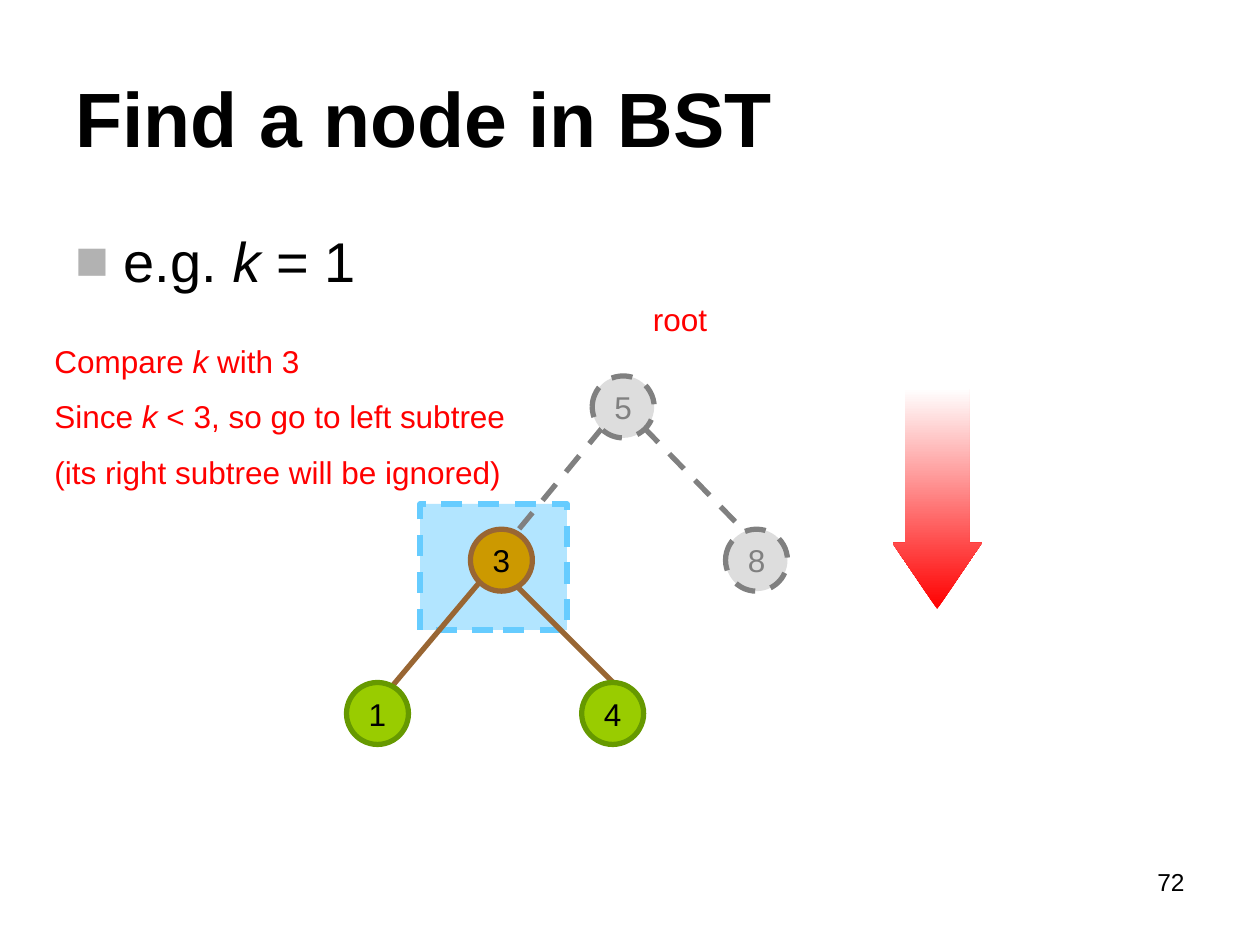
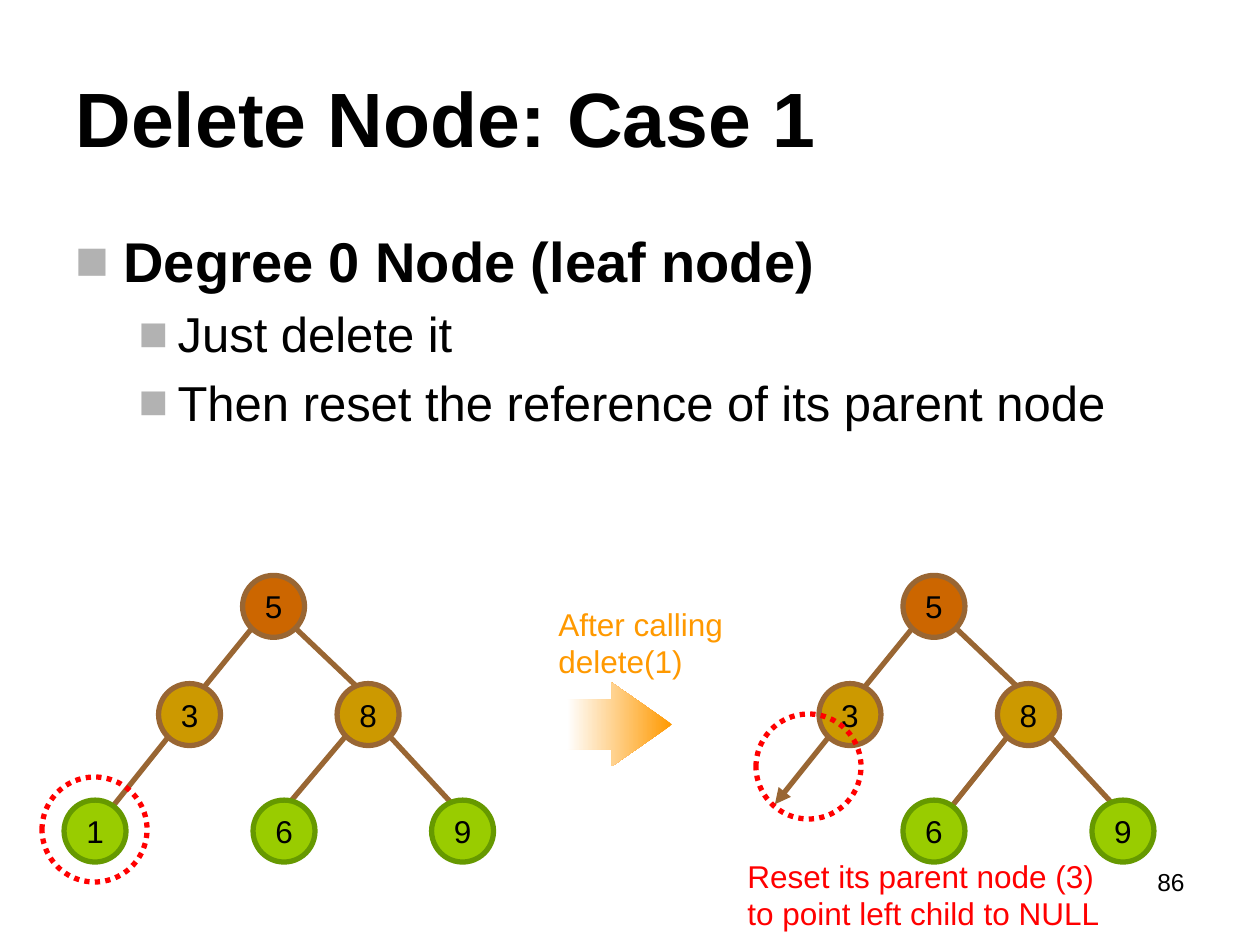
from lxml import etree
from pptx import Presentation
from pptx.dml.color import RGBColor
from pptx.enum.dml import MSO_LINE
from pptx.enum.shapes import MSO_CONNECTOR, MSO_SHAPE
from pptx.enum.text import MSO_ANCHOR, MSO_AUTO_SIZE, PP_ALIGN
from pptx.oxml.ns import qn
from pptx.util import Inches, Pt

# Grid: 120 columns by 90 rows of square cells
SLIDE_W, SLIDE_H = Inches(10), Inches(7.5)
CELL = SLIDE_W / 120

FONT = "Arial"
BLACK = RGBColor(0x00, 0x00, 0x00)
WHITE = RGBColor(0xFF, 0xFF, 0xFF)
RED = RGBColor(0xFF, 0x00, 0x00)
ORANGE = RGBColor(0xFF, 0x99, 0x00)
BROWN = RGBColor(0x99, 0x66, 0x33)
RUST = RGBColor(0xCC, 0x66, 0x00)
OCHRE = RGBColor(0xCC, 0x99, 0x00)
GREEN = RGBColor(0x99, 0xCC, 0x00)
DARK_GREEN = RGBColor(0x66, 0x99, 0x00)
GREY = RGBColor(0x80, 0x80, 0x80)
PALE_GREY = RGBColor(0xDD, 0xDD, 0xDD)
BULLET_GREY = "B2B2B2"
SKY = RGBColor(0x66, 0xCC, 0xFF)

RECT, OVAL, UP_ARROW = MSO_SHAPE.RECTANGLE, MSO_SHAPE.OVAL, MSO_SHAPE.UP_ARROW
STRAIGHT = MSO_CONNECTOR.STRAIGHT
DASH, DOTS = MSO_LINE.DASH, MSO_LINE.ROUND_DOT
LEFT, CENTER, RIGHT = PP_ALIGN.LEFT, PP_ALIGN.CENTER, PP_ALIGN.RIGHT
MIDDLE = MSO_ANCHOR.MIDDLE
NO_FIT, GROW = MSO_AUTO_SIZE.NONE, MSO_AUTO_SIZE.SHAPE_TO_FIT_TEXT

TITLE_BOX = (6, 3.6, 108, 15)
BODY_BOX = (6, 21, 108, 59.4)
NUMBER_BOX = (86, 82, 28, 6.25)

# Outline level: margin, hanging indent (inches), text size
LEVELS = [(0.38, 0.38, 32), (0.81, 0.31, 28)]

# Node styles: fill, outline, text, dash
NODE_SIZE = 5.9
ROOT = (RUST, BROWN, BLACK, None)
INNER = (OCHRE, BROWN, BLACK, None)
LEAF = (GREEN, DARK_GREEN, BLACK, None)
IGNORED = (PALE_GREY, GREY, GREY, DASH)

# Edge anchors: start within the parent's box, end within the child's box
TO_LEFT = ((1, 4.9), (3.8, 1))
TO_LEFT_LEAF = ((1, 5), (4.8, 0.4))
TO_NEAR_LEAF = ((1, 4.8), (3.6, 0.1))
TO_RIGHT = ((4.9, 4.9), (2, 0.4))
TO_STEEP_RIGHT = ((3.8, 4.8), (3, 0))


def cells(*lengths):
    return [round(length * CELL) for length in lengths]


def write(paragraph, text, size, color=BLACK, bold=False):
    """Write text; the parts between asterisks are italic."""
    for index, part in enumerate(text.split("*")):
        run = paragraph.add_run()
        run.text = part
        font = run.font
        font.name, font.size, font.bold = FONT, Pt(size), bold
        font.italic = index % 2 == 1
        font.color.rgb = color


def add_note(slide, box, lines, color, size=18, align=LEFT, fit=GROW):
    frame = slide.shapes.add_textbox(*cells(*box)).text_frame
    frame.word_wrap = True
    frame.auto_size = fit
    for index, line in enumerate(lines):
        paragraph = frame.add_paragraph() if index else frame.paragraphs[0]
        paragraph.alignment = align
        if index:
            paragraph.space_before = Pt(10)
        write(paragraph, line, size, color)


def style_line(line, color, dash=None):
    line.color.rgb = color
    line.width = Pt(3)
    if dash:
        line.dash_style = dash


def add_outlined(slide, kind, box, fill, outline, dash=None):
    shape = slide.shapes.add_shape(kind, *cells(*box))
    shape.shadow.inherit = False
    if fill is None:
        shape.fill.background()
    else:
        shape.fill.solid()
        shape.fill.fore_color.rgb = fill
    style_line(shape.line, outline, dash)
    return shape


def add_fading_arrow(slide, box, rotation, color, proportions):
    arrow = slide.shapes.add_shape(UP_ARROW, *cells(*box))
    arrow.shadow.inherit = False
    arrow.rotation = rotation
    arrow.adjustments[0], arrow.adjustments[1] = proportions
    arrow.line.fill.background()
    arrow.fill.gradient()
    arrow.fill.gradient_angle = 270
    for stop, tone, position in zip(arrow.fill.gradient_stops, (color, WHITE), (0, 1)):
        stop.color.rgb = tone
        stop.position = position


def add_edge(slide, parent, child, anchors, color, dash, points_to_null):
    ends = [at + shift for node, anchor in zip((parent, child), anchors)
            for at, shift in zip(node, anchor)]
    edge = slide.shapes.add_connector(STRAIGHT, *cells(*ends))
    style_line(edge.line, color, dash)
    if points_to_null:
        etree.SubElement(edge.line._get_or_add_ln(), qn("a:tailEnd"), type="triangle")
    etree.SubElement(edge._element.spPr, qn("a:effectLst"))


def add_tree(slide, origin, nodes, edges):
    """nodes: key -> (column, row, style); a node without style is a null slot."""
    places = {key: (origin[0] + col, origin[1] + row)
              for key, (col, row, _) in nodes.items()}
    for parent, child, anchors in edges:
        style = nodes[parent][2]
        add_edge(slide, places[parent], places[child], anchors,
                 style[1], style[3], nodes[child][2] is None)
    for key, (_, _, style) in nodes.items():
        if style is None:
            continue
        fill, outline, ink, dash = style
        node = add_outlined(slide, OVAL, (*places[key], NODE_SIZE, NODE_SIZE),
                            fill, outline, dash)
        frame = node.text_frame
        frame.word_wrap = False
        frame.vertical_anchor = MIDDLE
        frame.paragraphs[0].alignment = CENTER
        write(frame.paragraphs[0], key, 18, ink)


def place(placeholder, box):
    placeholder.left, placeholder.top, placeholder.width, placeholder.height = cells(*box)
    placeholder.text_frame.auto_size = NO_FIT
    return placeholder.text_frame


def add_content_slide(prs, title, outline, number):
    """outline: (level, text, bold) for each list item."""
    slide = prs.slides.add_slide(prs.slide_layouts[1])
    heading = place(slide.shapes.title, TITLE_BOX)
    heading.vertical_anchor = MIDDLE
    heading.paragraphs[0].alignment = LEFT
    write(heading.paragraphs[0], title, 44, bold=True)

    body = place(slide.placeholders[1], BODY_BOX)
    for index, (level, text, bold) in enumerate(outline):
        item = body.add_paragraph() if index else body.paragraphs[0]
        item.level = level
        margin, hang, size = LEVELS[level]
        props = item._p.get_or_add_pPr()
        props.set("marL", str(Inches(margin)))
        props.set("indent", str(-Inches(hang)))
        bullet_color = etree.SubElement(props, qn("a:buClr"))
        etree.SubElement(bullet_color, qn("a:srgbClr"), val=BULLET_GREY)
        etree.SubElement(props, qn("a:buFont"), typeface=FONT)
        etree.SubElement(props, qn("a:buChar"), char="■")
        write(item, text, size, bold=bold)

    add_note(slide, NUMBER_BOX, [number], BLACK, 14, RIGHT, NO_FIT)
    return slide


def build_find_slide(prs):
    slide = add_content_slide(prs, "Find a node in BST", [(0, "e.g. *k* = 1", False)], "72")

    # Highlight behind the current node
    highlight = add_outlined(slide, RECT, (40, 48, 14, 12), SKY, SKY, DASH)
    tint = highlight._element.spPr.find(qn("a:solidFill"))[0]
    etree.SubElement(tint, qn("a:alpha"), val="50000")

    # Search tree
    nodes = {"5": (23.4, 0, IGNORED), "3": (11.8, 14.6, INNER), "8": (36.1, 14.6, IGNORED),
             "1": (0, 29.2, LEAF), "4": (22.4, 29.2, LEAF)}
    edges = [("5", "3", TO_LEFT), ("5", "8", TO_RIGHT),
             ("3", "1", TO_LEFT), ("3", "4", TO_STEEP_RIGHT)]
    add_tree(slide, (33, 35.8), nodes, edges)

    # Explanation and direction of the search
    add_note(slide, (61, 28, 18.5, 4.8), ["root"], RED)
    add_note(slide, (4, 32, 46, 15.6),
             ["Compare *k* with 3", "Since *k* < 3, so go to left subtree",
              "(its right subtree will be ignored)"], RED)
    add_fading_arrow(slide, (85, 37, 8.5, 21), 180, RED, (0.72, 0.74))


def add_deletion_tree(slide, origin, leaf_style, six_column, six_anchors):
    nodes = {"5": (17, 0, ROOT), "3": (9, 10.3, INNER), "8": (26, 10.3, INNER),
             "1": (0, 21.4, leaf_style), "6": (six_column, 21.4, LEAF),
             "9": (35, 21.4, LEAF)}
    edges = [("5", "3", TO_LEFT), ("5", "8", TO_RIGHT), ("3", "1", TO_LEFT_LEAF),
             ("8", "6", six_anchors), ("8", "9", TO_RIGHT)]
    add_tree(slide, origin, nodes, edges)


def build_delete_slide(prs):
    slide = add_content_slide(
        prs, "Delete Node: Case 1",
        [(0, "Degree 0 Node (leaf node)", True), (1, "Just delete it", False),
         (1, "Then reset the reference of its parent node", False)], "86")

    # Trees before and after the deletion
    add_deletion_tree(slide, (6.1, 54.8), LEAF, 18, TO_NEAR_LEAF)
    add_deletion_tree(slide, (69, 54.8), None, 17, TO_LEFT_LEAF)

    # Rings around the deleted leaf and the reset reference
    for column, row in ((4, 74), (72, 68)):
        add_outlined(slide, OVAL, (column, row, 10, 10), None, RED, DOTS)

    # Step between the trees
    add_note(slide, (52, 57, 22, 8.4), ["After calling delete(1)"], ORANGE)
    add_fading_arrow(slide, (55, 64, 8, 10), 90, ORANGE, (0.6, 0.72))
    add_note(slide, (70, 81, 38, 8.4),
             ["Reset its parent node (3) to point left child to NULL"], RED)


def main():
    prs = Presentation()
    prs.slide_width, prs.slide_height = SLIDE_W, SLIDE_H
    build_find_slide(prs)
    build_delete_slide(prs)
    prs.save("out.pptx")


if __name__ == "__main__":
    main()
